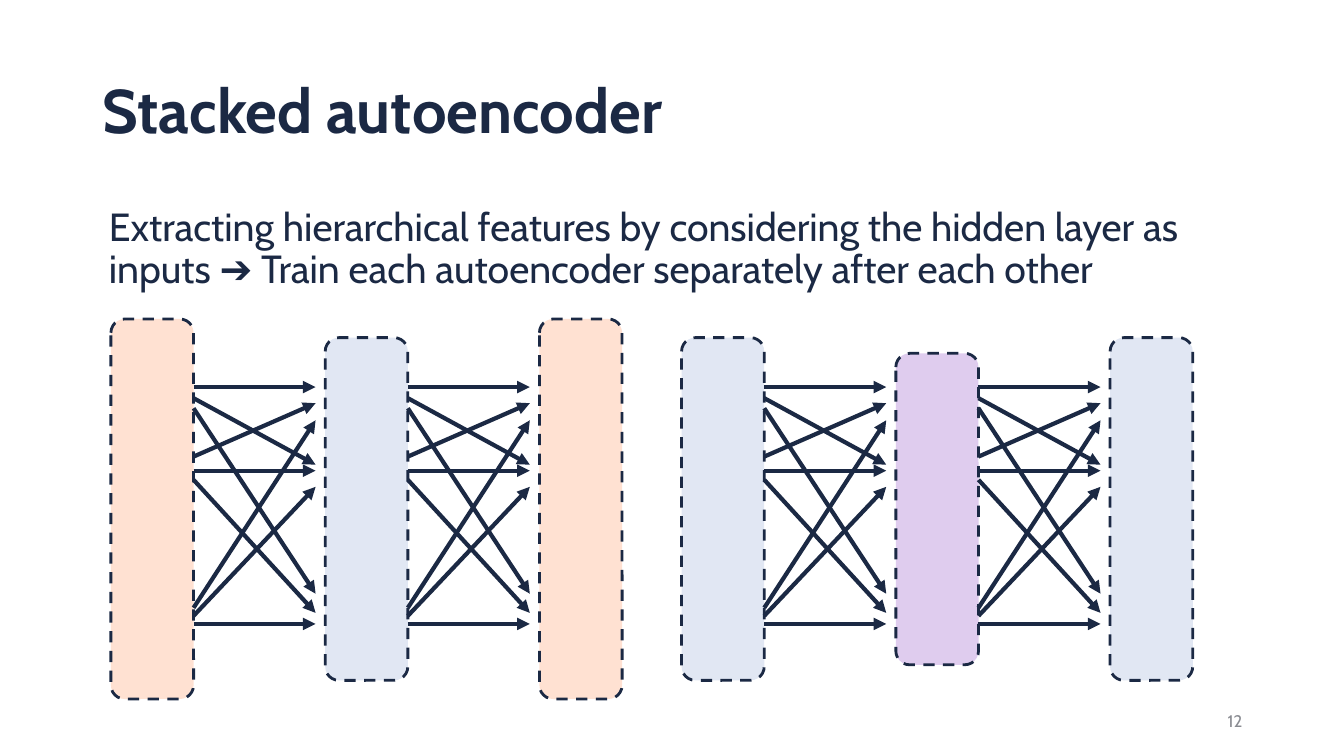
from dataclasses import dataclass

from lxml import etree
from pptx import Presentation
from pptx import util as u
from pptx.dml.color import RGBColor
from pptx.enum import dml, shapes, text
from pptx.oxml import ns

TITLE = "Stacked autoencoder"
BODY = ("Extracting hierarchical features by considering the hidden layer as "
        "inputs ➔ Train each autoencoder separately after each other")
PAGE = "12"

# Layers from left to right as (colour name, height)
AUTOENCODERS = [
    {"left": 1.1, "layers": [("peach", 3.77), ("blue", 3.4), ("peach", 3.77)]},
    {"left": 6.76, "layers": [("blue", 3.4), ("purple", 3.09), ("blue", 3.4)]},
]
# Heights at which each arrow leaves one layer and reaches the next
ARROWS = [
    (3.84, 3.84), (3.95, 4.61), (4.05, 5.89),
    (4.53, 4.0), (4.67, 4.67), (4.76, 6.08),
    (6.03, 4.17), (6.11, 4.83), (6.19, 6.19),
]
LAYER_WIDTH = 0.82
LAYER_PITCH = 4.25 / 2
LAYER_MIDDLE = 5.05
ARROW_LENGTH = 1.21


@dataclass(frozen=True)
class Theme:
    font: str = "Cabin"
    navy: str = "1B2944"
    grey: str = "898B91"
    peach: str = "FFE1D2"
    blue: str = "E1E7F3"
    purple: str = "DFCCEE"
    title_size: int = 44
    body_size: int = 28
    page_size: int = 12
    outline: int = 2
    arrow: int = 3


THEME = Theme()


def rgb(name):
    return RGBColor.from_string(getattr(THEME, name))


def add_text(slide, box, words, size, colour="navy", bold=False, indent=0,
             spacing=1.0, align=text.PP_ALIGN.LEFT, anchor=text.MSO_ANCHOR.MIDDLE):
    shape = slide.shapes.add_textbox(*map(u.Inches, box))
    frame = shape.text_frame
    frame.word_wrap = True
    frame.vertical_anchor = anchor
    frame.margin_left = u.Inches(0.1 + indent)
    paragraph = frame.paragraphs[0]
    paragraph.alignment = align
    paragraph.line_spacing = spacing
    run = paragraph.add_run()
    run.text = words
    run.font.name = THEME.font
    run.font.size = u.Pt(size)
    run.font.bold = bold
    run.font.color.rgb = rgb(colour)


def add_layer(slide, left, colour, height):
    box = (left, LAYER_MIDDLE - height / 2, LAYER_WIDTH, height)
    shape = slide.shapes.add_shape(
        shapes.MSO_SHAPE.ROUNDED_RECTANGLE, *map(u.Inches, box))
    shape.shadow.inherit = False
    shape.fill.solid()
    shape.fill.fore_color.rgb = rgb(colour)
    shape.line.color.rgb = rgb("navy")
    shape.line.width = u.Pt(THEME.outline)
    shape.line.dash_style = dml.MSO_LINE.DASH


def add_arrow(slide, left, start, end):
    points = (left, start, left + ARROW_LENGTH, end)
    connector = slide.shapes.add_connector(
        shapes.MSO_CONNECTOR.STRAIGHT, *map(u.Inches, points))
    connector.line.color.rgb = rgb("navy")
    connector.line.width = u.Pt(THEME.arrow)
    etree.SubElement(connector.line._get_or_add_ln(), ns.qn("a:tailEnd"), type="triangle")
    etree.SubElement(connector._element.spPr, ns.qn("a:effectLst"))


def add_autoencoder(slide, left, layers):
    for index, (colour, height) in enumerate(layers):
        layer_left = left + index * LAYER_PITCH
        add_layer(slide, layer_left, colour, height)
        if index < len(layers) - 1:
            for start, end in ARROWS:
                add_arrow(slide, layer_left + LAYER_WIDTH, start, end)


def main():
    presentation = Presentation()
    presentation.slide_width = u.Inches(13.33)
    presentation.slide_height = u.Inches(7.5)
    slide = presentation.slides.add_slide(presentation.slide_layouts[6])

    add_text(slide, (0.92, 0.4, 11.5, 1.45), TITLE, THEME.title_size,
             bold=True, spacing=0.9)
    add_text(slide, (0.92, 2.01, 11.5, 1.0), BODY, THEME.body_size,
             indent=0.06, spacing=0.9, anchor=text.MSO_ANCHOR.TOP)
    add_text(slide, (9.42, 6.95, 3, 0.4), PAGE, THEME.page_size,
             colour="grey", align=text.PP_ALIGN.RIGHT)
    for autoencoder in AUTOENCODERS:
        add_autoencoder(slide, **autoencoder)

    presentation.save("out.pptx")


if __name__ == "__main__":
    main()
